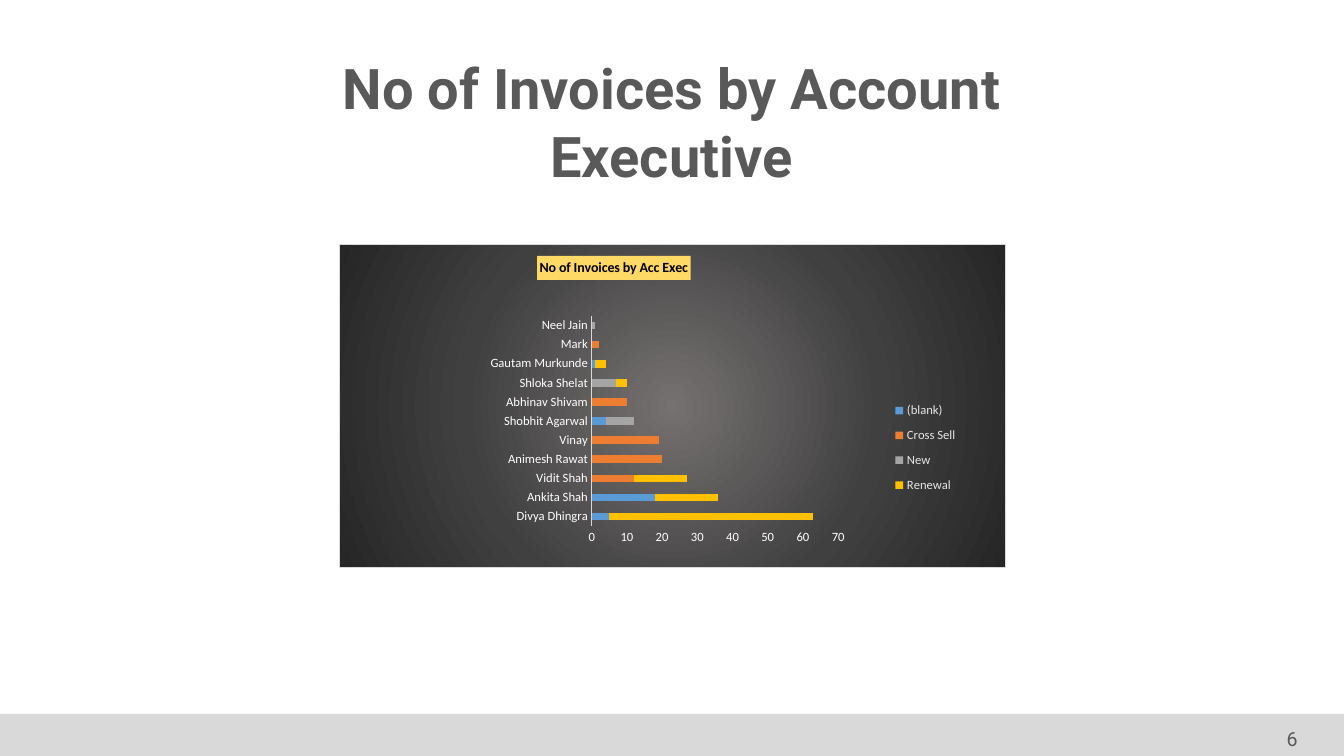
from lxml import etree
from pptx import Presentation
from pptx.chart.data import CategoryChartData
from pptx.dml.color import RGBColor
from pptx.enum.chart import XL_CHART_TYPE as ChartType, XL_LEGEND_POSITION as LegendPos
from pptx.enum.chart import XL_TICK_MARK as TickMark
from pptx.enum.shapes import MSO_SHAPE as Shape
from pptx.enum.text import PP_ALIGN as Align
from pptx.oxml import parse_xml
from pptx.oxml.ns import qn
from pptx.util import Pt

# Content
HEADING = "No of Invoices by Account Executive"
PAGE_NUMBER = "6"
AXIS_TITLE = "No of Invoices by Acc Exec"
SALE_TYPES = [("(blank)", "5B9BD5"), ("Cross Sell", "ED7D31"),
              ("New", "A5A5A5"), ("Renewal", "FFC000")]
INVOICES = [  # executive, then one count per sale type
    ("Divya Dhingra", 5, None, None, 58),
    ("Ankita Shah", 18, None, None, 18),
    ("Vidit Shah", None, 12, None, 15),
    ("Animesh Rawat", None, 20, None, None),
    ("Vinay", None, 19, None, None),
    ("Shobhit Agarwal", 4, None, 8, None),
    ("Abhinav Shivam", None, 10, None, None),
    ("Shloka Shelat", None, None, 7, 3),
    ("Gautam Murkunde", 1, None, None, 3),
    ("Mark", None, 2, None, None),
    ("Neel Jain", None, None, 1, None),
]
BACKDROP = [(0, "767171"), (56, "404040"), (100, "262626")]
WIDTH, HEIGHT, FOOTER_TOP = 960, 540, 510
GREY, RULE = "595959", "D9D9D9"
NS = ('xmlns:c="http://schemas.openxmlformats.org/drawingml/2006/chart" '
      'xmlns:a="http://schemas.openxmlformats.org/drawingml/2006/main"')


def rgb(value):
    return RGBColor.from_string(value)


def set_font(font, color, **values):
    for key, value in values.items():
        setattr(font, key, value)
    font.color.rgb = rgb(color)


def add_text(slide, text, box, size, bold=False):
    frame = slide.shapes.add_textbox(*map(Pt, box)).text_frame
    frame.word_wrap = True
    line = frame.paragraphs[0]
    line.alignment = Align.CENTER
    run = line.add_run()
    run.text = text
    set_font(run.font, GREY, name="Roboto", size=Pt(size), bold=bold)


def set_layout(parent, index, inner=False, **fractions):
    """Place a chart part by fractions of the chart area."""
    for old in parent.findall(qn("c:layout")):
        parent.remove(old)
    layout = parse_xml(f"<c:layout {NS}><c:manualLayout/></c:layout>")
    entries = [("layoutTarget", "inner")] if inner else []
    entries += [("xMode", "edge"), ("yMode", "edge"), *fractions.items()]
    for tag, value in entries:
        etree.SubElement(layout[0], qn("c:" + tag)).set("val", str(value))
    parent.insert(index, layout)


def set_backdrop(chart):
    stops = "".join(f'<a:gs pos="{pos * 1000}"><a:srgbClr val="{color}"/></a:gs>'
                    for pos, color in BACKDROP)
    chart.element.find(qn("c:chart")).addnext(parse_xml(
        f'<c:spPr {NS}><a:gradFill><a:gsLst>{stops}</a:gsLst><a:path path="circle">'
        '<a:fillToRect l="50000" t="50000" r="50000" b="50000"/></a:path></a:gradFill>'
        f'<a:ln w="9525"><a:solidFill><a:srgbClr val="{RULE}"/></a:solidFill></a:ln></c:spPr>'))


def add_invoice_chart(slide, box):
    data = CategoryChartData()
    executives, *counts = zip(*INVOICES)
    data.categories = executives
    for (sale_type, _), values in zip(SALE_TYPES, counts):
        data.add_series(sale_type, values)
    chart = slide.shapes.add_chart(ChartType.BAR_STACKED, *map(Pt, box), data).chart
    set_font(chart.font, "000000", name="Calibri", size=Pt(10))
    chart.has_title = False
    set_backdrop(chart)

    # Bars
    bars = chart.plots[0]
    bars.gap_width, bars.overlap, bars.vary_by_categories = 150, 100, False
    for series, (_, color) in zip(bars.series, SALE_TYPES):
        series.format.fill.solid()
        series.format.fill.fore_color.rgb = rgb(color)
    set_layout(chart.element.find(".//" + qn("c:plotArea")), 0, inner=True,
               x=0.379, y=0.221, w=0.37, h=0.652)

    # Axes
    people, totals = chart.category_axis, chart.value_axis
    for axis in (people, totals):
        axis.major_tick_mark = axis.minor_tick_mark = TickMark.NONE
        axis.has_major_gridlines = False
        set_font(axis.tick_labels.font, "FFFFFF", name="Calibri", size=Pt(9))
    people.format.line.color.rgb = rgb(RULE)
    people.format.line.width = Pt(0.75)
    totals.format.line.fill.background()
    totals.minimum_scale, totals.maximum_scale, totals.major_unit = 0, 70, 10

    # Axis title, set above the bars
    title = totals.axis_title
    line = title.text_frame.paragraphs[0]
    run = line.add_run()
    run.text = AXIS_TITLE
    set_font(run.font, "000000", name="Calibri", size=Pt(10), bold=True)
    title.format.fill.solid()
    title.format.fill.fore_color.rgb = rgb("FFD966")
    set_layout(totals._element.find(qn("c:title")), 1, x=0.297, y=0.034)

    # Legend
    chart.has_legend = True
    legend = chart.legend
    legend.position, legend.include_in_layout = LegendPos.RIGHT, False
    set_font(legend.font, "E7E6E6", name="Calibri", size=Pt(9))
    set_layout(legend._element, 1, x=0.82, y=0.46, w=0.12, h=0.34)


def main():
    deck = Presentation()
    deck.slide_width, deck.slide_height = Pt(WIDTH), Pt(HEIGHT)
    slide = deck.slides.add_slide(deck.slide_layouts[6])

    # Heading
    add_text(slide, HEADING, (172, 35, 615, 102), 40, bold=True)

    # Footer
    footer = slide.shapes.add_shape(
        Shape.RECTANGLE, 0, Pt(FOOTER_TOP), Pt(WIDTH), Pt(HEIGHT - FOOTER_TOP))
    footer.shadow.inherit = False
    footer.fill.solid()
    footer.fill.fore_color.rgb = rgb(RULE)
    footer.line.fill.background()
    add_text(slide, PAGE_NUMBER, (901, 516, 44, 24), 14)

    # Chart
    add_invoice_chart(slide, (242, 174.5, 476.5, 231))
    deck.save("out.pptx")


if __name__ == "__main__":
    main()
